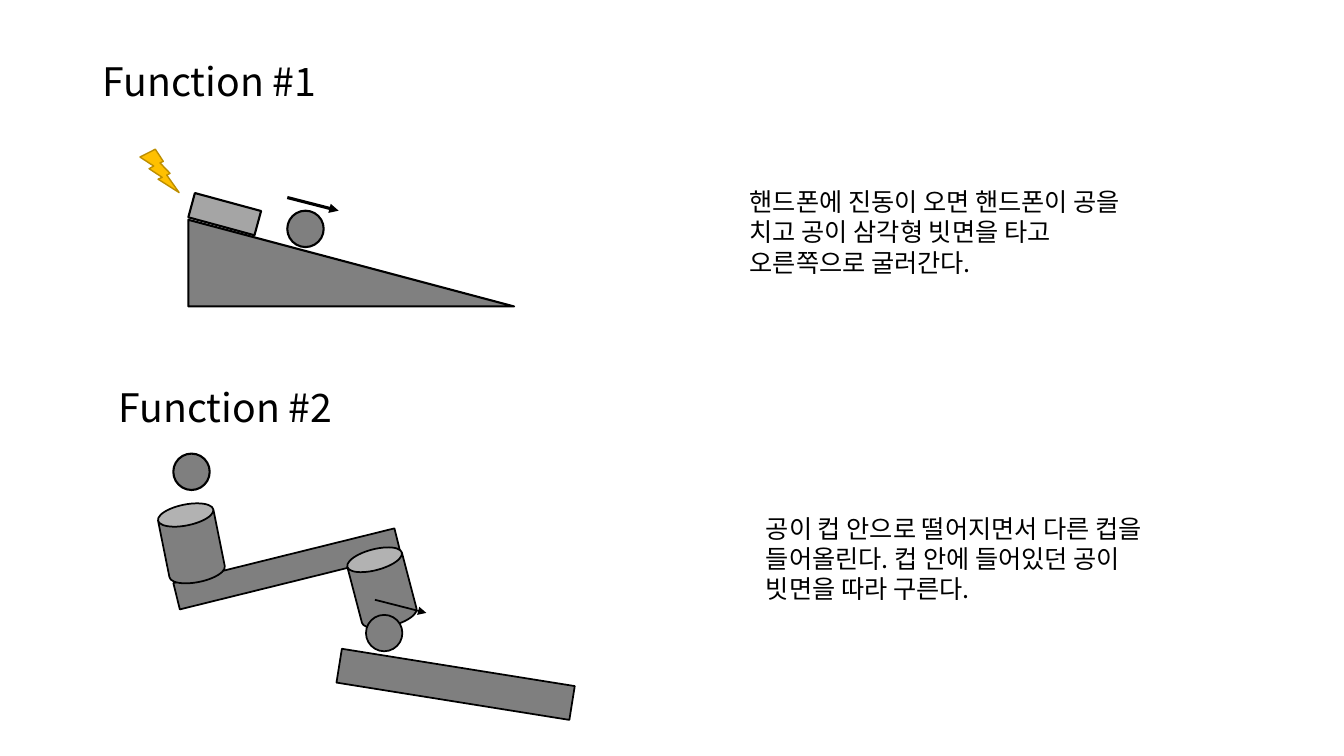
from dataclasses import dataclass

from lxml import etree
from pptx import Presentation
from pptx.dml.color import RGBColor
from pptx.enum.shapes import MSO_CONNECTOR, MSO_SHAPE
from pptx.enum.text import MSO_ANCHOR, MSO_AUTO_SIZE, PP_ALIGN
from pptx.oxml.ns import qn
from pptx.util import Pt

RECTANGLE, OVAL, CAN = MSO_SHAPE.RECTANGLE, MSO_SHAPE.OVAL, MSO_SHAPE.CAN
TRIANGLE, BOLT = MSO_SHAPE.ISOSCELES_TRIANGLE, MSO_SHAPE.LIGHTNING_BOLT
STRAIGHT = MSO_CONNECTOR.STRAIGHT
BOTTOM, TOP, LEFT = MSO_ANCHOR.BOTTOM, MSO_ANCHOR.TOP, PP_ALIGN.LEFT
NO_FIT, GROW = MSO_AUTO_SIZE.NONE, MSO_AUTO_SIZE.SHAPE_TO_FIT_TEXT
TITLE_ONLY = 5


@dataclass(frozen=True)
class Theme:
    """Colours, font, type sizes and line widths in points."""
    font: str = "Noto Sans CJK KR"
    heading_size: float = 28
    body_size: float = 18
    ink: str = "000000"
    solid: str = "7F7F7F"
    slope: str = "808080"
    phone: str = "A5A5A5"
    bolt: str = "FFC000"
    bolt_edge: str = "BD8E00"
    thin: float = 1
    medium: float = 1.25
    thick: float = 1.5
    heavy: float = 2.25


THEME = Theme()
HEADING_SIZE = (624.2, 49.7)
DESCRIPTION_OFFSET = (462.2, 100.8)
DESCRIPTION_SIZE = (301, 72.7)
BALL = 26
CUP_SIZE = (40.3, 56.2)
CUP_RIM = 0.371
ROLL = (36.7, 9.4)


def place(shape, left, top, width, height):
    """Move and size a shape, in points."""
    shape.left, shape.top = Pt(left), Pt(top)
    shape.width, shape.height = Pt(width), Pt(height)


def write(shape, text, size, anchor, auto_size):
    """Fill a shape with one left-aligned paragraph in the theme font."""
    frame = shape.text_frame
    frame.text = text
    frame.word_wrap = True
    frame.auto_size = auto_size
    frame.vertical_anchor = anchor
    paragraph = frame.paragraphs[0]
    paragraph.alignment = LEFT
    for run in paragraph.runs:
        run.font.size = Pt(size)
        run.font.name = THEME.font
        run.font.color.rgb = RGBColor.from_string(THEME.ink)
        east_asian = etree.SubElement(run.font._element, qn("a:ea"))
        east_asian.set("typeface", THEME.font)
    return paragraph


def add_part(slide, origin, kind, box, fill=THEME.solid, edge=THEME.ink,
             weight=THEME.medium, rotation=0, adjustment=None):
    """Draw one preset shape; box is relative to the origin."""
    left, top, width, height = box
    shape = slide.shapes.add_shape(kind, Pt(origin[0] + left), Pt(origin[1] + top),
                                   Pt(width), Pt(height))
    shape.shadow.inherit = False
    shape.fill.solid()
    shape.fill.fore_color.rgb = RGBColor.from_string(fill)
    shape.line.color.rgb = RGBColor.from_string(edge)
    shape.line.width = Pt(weight)
    shape.rotation = rotation
    if adjustment is not None:
        shape.adjustments[0] = adjustment


def add_roll_arrow(slide, origin, left, top, weight):
    """Draw the arrow that shows a ball rolling down to the right."""
    x, y = origin[0] + left, origin[1] + top
    arrow = slide.shapes.add_connector(STRAIGHT, Pt(x), Pt(y),
                                       Pt(x + ROLL[0]), Pt(y + ROLL[1]))
    arrow.line.color.rgb = RGBColor.from_string(THEME.ink)
    arrow.line.width = Pt(weight)
    etree.SubElement(arrow.line._get_or_add_ln(), qn("a:tailEnd")).set("type", "triangle")
    etree.SubElement(arrow._element.spPr, qn("a:effectLst"))


def add_texts(slide, origin, heading_shape, heading, description):
    """Place a function's heading and its description to the right."""
    place(heading_shape, *origin, *HEADING_SIZE)
    paragraph = write(heading_shape, heading, THEME.heading_size, BOTTOM, NO_FIT)
    paragraph.line_spacing = 0.9
    corner = [start + offset for start, offset in zip(origin, DESCRIPTION_OFFSET)]
    box = slide.shapes.add_textbox(*map(Pt, (*corner, *DESCRIPTION_SIZE)))
    write(box, description, THEME.body_size, TOP, GROW)


def draw_phone_ramp(slide, origin):
    """Draw the buzzing phone that knocks a ball down the slope."""
    add_part(slide, origin, TRIANGLE, (68.4, 128.2, 232.6, 61.9), THEME.slope,
             weight=THEME.thick, adjustment=0)
    add_part(slide, origin, OVAL, (139, 121.7, BALL, BALL), weight=THEME.thick)
    add_roll_arrow(slide, origin, 139, 112.3, THEME.heavy)
    add_part(slide, origin, RECTANGLE, (69.8, 115.2, 49, 18), THEME.phone,
             weight=THEME.thick, rotation=15.2)
    add_part(slide, origin, BOLT, (33.8, 77.8, 28, 31), THEME.bolt,
             THEME.bolt_edge, THEME.thin)


def draw_cup_lever(slide, origin):
    """Draw the lever with two cups, and the ramp that takes the second ball."""
    add_part(slide, origin, RECTANGLE, (46, 134.7, 162.7, 19.4), rotation=346.1)
    add_part(slide, origin, RECTANGLE, (163.4, 214.6, 168.5, 24.5), rotation=9.1)
    add_part(slide, origin, OVAL, (46, 62, BALL, BALL), weight=THEME.thick)
    for left, top, rotation in ((38.8, 98, 348.6), (174.9, 129.7, 345.3)):
        add_part(slide, origin, CAN, (left, top, *CUP_SIZE),
                 rotation=rotation, adjustment=CUP_RIM)
    add_part(slide, origin, OVAL, (183.6, 177.2, BALL, BALL))
    add_roll_arrow(slide, origin, 190, 166.4, THEME.medium)


def build():
    """Build the slide with its two functions and save it."""
    presentation = Presentation()
    presentation.slide_width, presentation.slide_height = Pt(960), Pt(540)
    slide = presentation.slides.add_slide(presentation.slide_layouts[TITLE_ONLY])
    first, second = (66.2, 28.8), (77.8, 262)

    add_texts(slide, first, slide.shapes.title, "Function #1",
              "핸드폰에 진동이 오면 핸드폰이 공을 치고 공이 삼각형 빗면을 타고 "
              "오른쪽으로 굴러간다.")
    draw_phone_ramp(slide, first)

    second_heading = slide.shapes.add_textbox(*map(Pt, (*second, *HEADING_SIZE)))
    add_texts(slide, second, second_heading, "Function #2",
              "공이 컵 안으로 떨어지면서 다른 컵을 들어올린다. 컵 안에 들어있던 "
              "공이 빗면을 따라 구른다.")
    draw_cup_lever(slide, second)

    presentation.save("out.pptx")


build()
